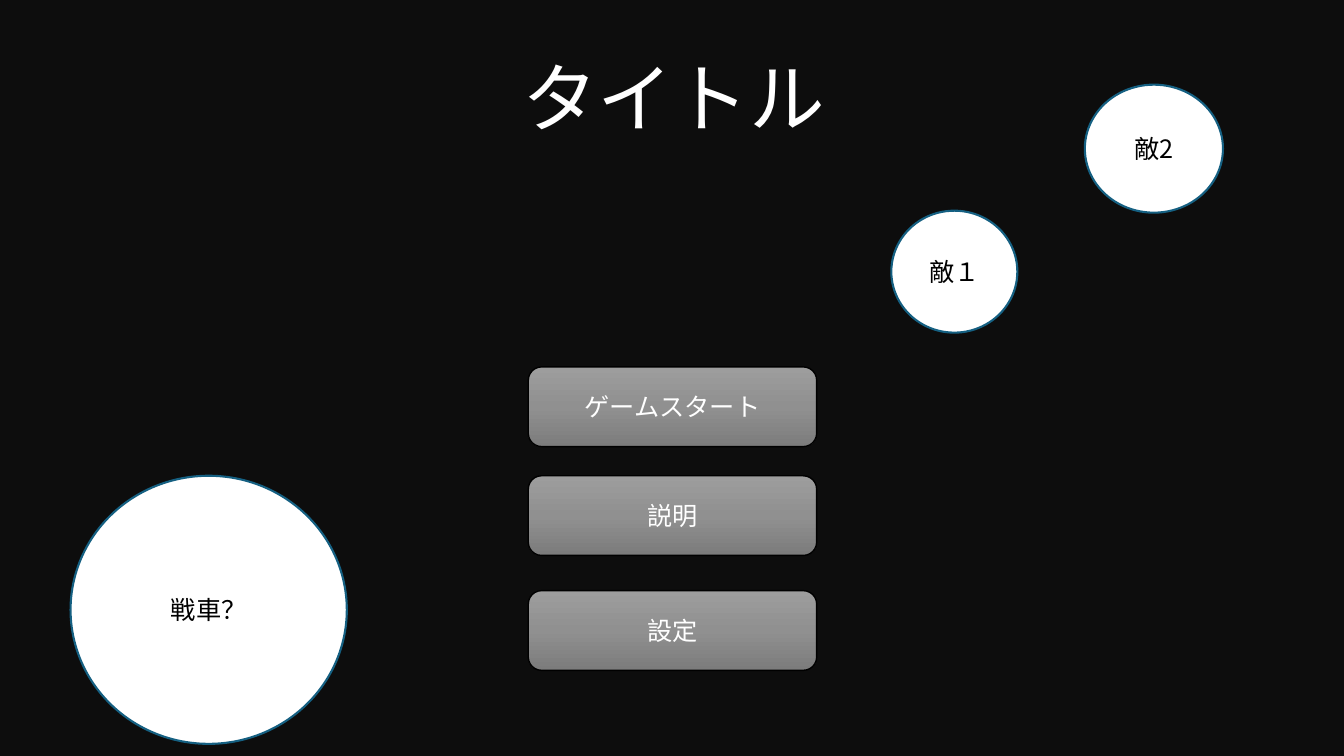
from copy import deepcopy

from lxml import etree
from pptx import Presentation
from pptx.dml.color import RGBColor
from pptx.enum import shapes, text
from pptx.oxml import ns
from pptx.util import Inches, Pt

FONT = "Noto Sans CJK JP"
BACKGROUND = RGBColor(0x0D, 0x0D, 0x0D)
WHITE = RGBColor(0xFF, 0xFF, 0xFF)
BLACK = RGBColor(0x00, 0x00, 0x00)
OUTLINE_BLUE = RGBColor(0x15, 0x60, 0x82)
BUTTON_GRAYS = [
    (0, RGBColor(0x9D, 0x9D, 0x9D)),
    (0.5, RGBColor(0x90, 0x90, 0x90)),
    (1, RGBColor(0x7C, 0x7C, 0x7C)),
]

BUTTON_LEFT, BUTTON_WIDTH, BUTTON_HEIGHT = 5.24, 2.86, 0.79
BUTTONS = [("ゲームスタート", 3.64), ("説明", 4.72), ("設定", 5.86)]
CHARACTERS = [
    ("戦車？", 0.7, 4.72, 2.74, 2.66),
    ("敵１", 8.84, 2.09, 1.25, 1.21),
    ("敵2", 10.76, 0.84, 1.37, 1.27),
]


class GameScreen:
    """Holds the current slide and draws the screen's elements in one style."""

    def __init__(self, presentation):
        self.slide = presentation.slides.add_slide(presentation.slide_layouts[5])
        fill = self.slide.background.fill
        fill.solid()
        fill.fore_color.rgb = BACKGROUND

    def set_label(self, shape, label, size, color, alignment, anchor):
        frame = shape.text_frame
        frame.text = label
        frame.word_wrap = True
        frame.vertical_anchor = anchor
        paragraph = frame.paragraphs[0]
        paragraph.alignment = alignment
        run = paragraph.runs[0]
        run.font.size = Pt(size)
        run.font.name = FONT
        run.font.color.rgb = color
        # Japanese glyphs take their typeface from the East Asian font.
        latin = run._r.find(".//" + ns.qn("a:latin"))
        latin.addnext(etree.Element(ns.qn("a:ea"), typeface=FONT))

    def title(self, label, left, top, width, height):
        title = self.slide.shapes.title
        title.left, title.top = Inches(left), Inches(top)
        title.width, title.height = Inches(width), Inches(height)
        self.set_label(title, label, 54, WHITE, text.PP_ALIGN.LEFT, text.MSO_ANCHOR.TOP)
        title.text_frame.auto_size = text.MSO_AUTO_SIZE.SHAPE_TO_FIT_TEXT

    def labelled_shape(self, kind, label, box, color, line_color, line_width):
        shape = self.slide.shapes.add_shape(kind, *map(Inches, box))
        shape.shadow.inherit = False
        shape.line.color.rgb = line_color
        shape.line.width = Pt(line_width)
        self.set_label(
            shape, label, 18, color, text.PP_ALIGN.CENTER, text.MSO_ANCHOR.MIDDLE)
        return shape

    def button(self, label, top):
        box = (BUTTON_LEFT, top, BUTTON_WIDTH, BUTTON_HEIGHT)
        button = self.labelled_shape(
            shapes.MSO_SHAPE.ROUNDED_RECTANGLE, label, box, WHITE, BLACK, 1)
        button.fill.gradient()
        button.fill.gradient_angle = 270
        # The default gradient has two stops; add the middle one.
        first_stop = button._element.spPr.find(".//" + ns.qn("a:gs"))
        first_stop.addnext(deepcopy(first_stop))
        for stop, (position, gray) in zip(button.fill.gradient_stops, BUTTON_GRAYS):
            stop.position = position
            stop.color.rgb = gray

    def character(self, label, *box):
        circle = self.labelled_shape(
            shapes.MSO_SHAPE.OVAL, label, box, BLACK, OUTLINE_BLUE, 1.5)
        circle.fill.solid()
        circle.fill.fore_color.rgb = WHITE


def main():
    presentation = Presentation()
    presentation.slide_width = Inches(13.33)
    presentation.slide_height = Inches(7.5)
    screen = GameScreen(presentation)
    screen.title("タイトル", 5.08, 0.46, 4.33, 1.01)
    for label, top in BUTTONS:
        screen.button(label, top)
    for character in CHARACTERS:
        screen.character(*character)
    presentation.save("out.pptx")


if __name__ == "__main__":
    main()
